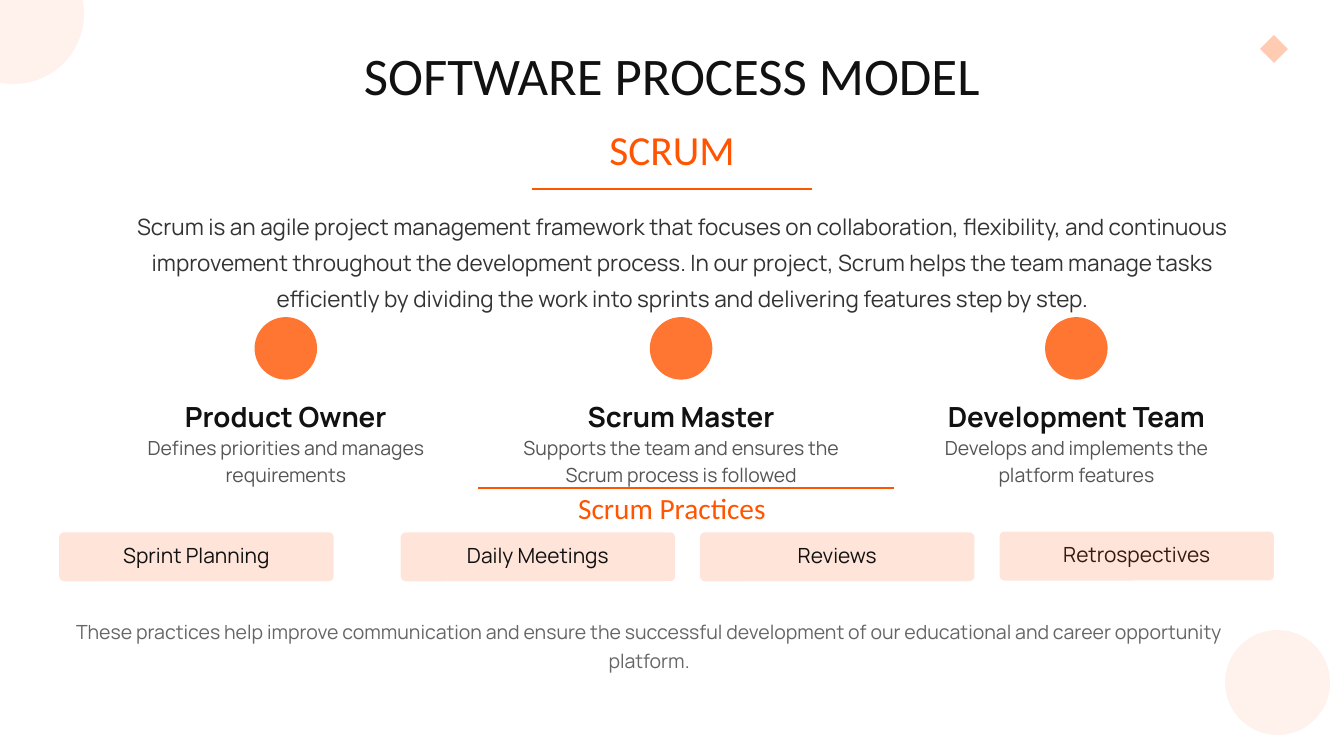
"""Build the Scrum process model slide."""
from lxml.etree import SubElement
from pptx import Presentation
from pptx.dml.color import RGBColor
from pptx.enum.shapes import MSO_CONNECTOR as LINK, MSO_SHAPE as KIND
from pptx.enum.text import MSO_ANCHOR as ANCHOR, MSO_AUTO_SIZE as FIT, PP_ALIGN as ALIGN
from pptx.oxml.ns import qn
from pptx.util import Pt

ORANGE = RGBColor(0xFF, 0x54, 0x00)
INK = RGBColor(0x11, 0x11, 0x11)
BROWN = RGBColor(0x35, 0x1B, 0x0E)
DARK = RGBColor(0x33, 0x33, 0x33)
GREY = RGBColor(0x55, 0x55, 0x55)
PALE = RGBColor(0x66, 0x66, 0x66)
HEAD, BODY = "Calibri", "Manrope"

TITLE = "SOFTWARE PROCESS MODEL"
INTRO = (
    "Scrum is an agile project management framework that focuses on collaboration, "
    "flexibility, and continuous improvement throughout the development process. "
    "In our project, Scrum helps the team manage tasks efficiently by dividing the work "
    "into sprints and delivering features step by step."
)
CLOSING = (
    "These practices help improve communication and ensure the successful development "
    "of our educational and career opportunity platform."
)
TEXTS = [
    ("SCRUM", (570, 137, 300, 58), HEAD, 44.3, 48.7, ORANGE),
    (INTRO, (128, 219, 1207, 114), BODY, 24.1, 38.6, DARK),
    ("Scrum Practices", (475, 525.5, 490, 45), HEAD, 31.4, 37.6, ORANGE),
    (CLOSING, (78.5, 658, 1234, 63), BODY, 20.9, 31.4, PALE),
]
ROLES = [
    ("Product Owner", "Defines priorities and manages requirements"),
    ("Scrum Master", "Supports the team and ensures the Scrum process is followed"),
    ("Development Team", "Develops and implements the platform features"),
]
PILLS = [
    ("Sprint Planning", 63.5, 570.3, INK),
    ("Daily Meetings", 429.4, 570.3, INK),
    ("Reviews", 750, 570.3, INK),
    ("Retrospectives", 1071, 569.5, BROWN),
]
DECOR = [
    (KIND.DIAMOND, (1350, 37.5, 30, 30), 30),
    (KIND.OVAL, (1312.5, 675, 112.5, 112.5), 8),
    (KIND.OVAL, (-60, -60, 150, 150), 8),
]
RULES = [(570, 870, 202.5), (512, 958, 522.5)]
ROLE_X, ROLE_W, ROLE_STEP, DOT = 128, 356.5, 423.5, 67


def write(shape, text, font, size, line, color, bold=False, anchor=ANCHOR.TOP):
    frame = shape.text_frame
    frame.text = text
    frame.word_wrap = True
    frame.auto_size = FIT.NONE
    frame.vertical_anchor = anchor
    frame.margin_left = frame.margin_right = frame.margin_top = frame.margin_bottom = 0
    para = frame.paragraphs[0]
    para.alignment = ALIGN.CENTER
    para.line_spacing = Pt(line)
    face = para.runs[0].font
    face.name, face.size, face.bold = font, Pt(size), bold
    face.color.rgb = color


def add_text(slide, text, box, *style, **more):
    write(slide.shapes.add_textbox(*map(Pt, box)), text, *style, **more)


def add_tint(slide, kind, box, alpha):
    shape = slide.shapes.add_shape(kind, *map(Pt, box))
    shape.shadow.inherit = False
    shape.line.fill.background()
    shape.fill.solid()
    shape.fill.fore_color.rgb = ORANGE
    tint = shape.element.spPr.find(qn("a:solidFill"))[0]
    SubElement(tint, qn("a:alpha")).set("val", str(alpha * 1000))
    return shape


def add_rule(slide, left, right, y):
    rule = slide.shapes.add_connector(LINK.STRAIGHT, Pt(left), Pt(y), Pt(right), Pt(y))
    rule.line.color.rgb = ORANGE
    rule.line.width = Pt(2.25)
    SubElement(rule.element.spPr, qn("a:effectLst"))


def main():
    deck = Presentation()
    deck.slide_width, deck.slide_height = Pt(1440), Pt(810)
    slide = deck.slides.add_slide(deck.slide_layouts[5])

    for kind, box, alpha in DECOR:
        add_tint(slide, kind, box, alpha)

    title = slide.shapes.title
    title.left, title.top, title.width, title.height = map(Pt, (195, 51, 1050, 76))
    write(title, TITLE, HEAD, 56.6, 62.3, INK)

    for text, box, *style in TEXTS:
        add_text(slide, text, box, *style)
    for rule in RULES:
        add_rule(slide, *rule)

    for i, (role, duty) in enumerate(ROLES):
        x = ROLE_X + i * ROLE_STEP
        add_tint(slide, KIND.OVAL, (x + (ROLE_W - DOT) / 2, 339.75, DOT, DOT), 80)
        add_text(slide, role, (x, 425, ROLE_W, 39), BODY, 29.7, 38.6, INK, bold=True)
        add_text(slide, duty, (x, 463, ROLE_W, 59), BODY, 20.8, 29.1, GREY)

    for text, x, y, color in PILLS:
        pill = add_tint(slide, KIND.ROUNDED_RECTANGLE, (x, y, 294, 52.5), 15)
        pill.adjustments[0] = 0.1
        write(pill, text, BODY, 22.4, 26.9, color, anchor=ANCHOR.MIDDLE)
        pill.text_frame.margin_bottom = Pt(4)

    deck.save("out.pptx")


if __name__ == "__main__":
    main()
